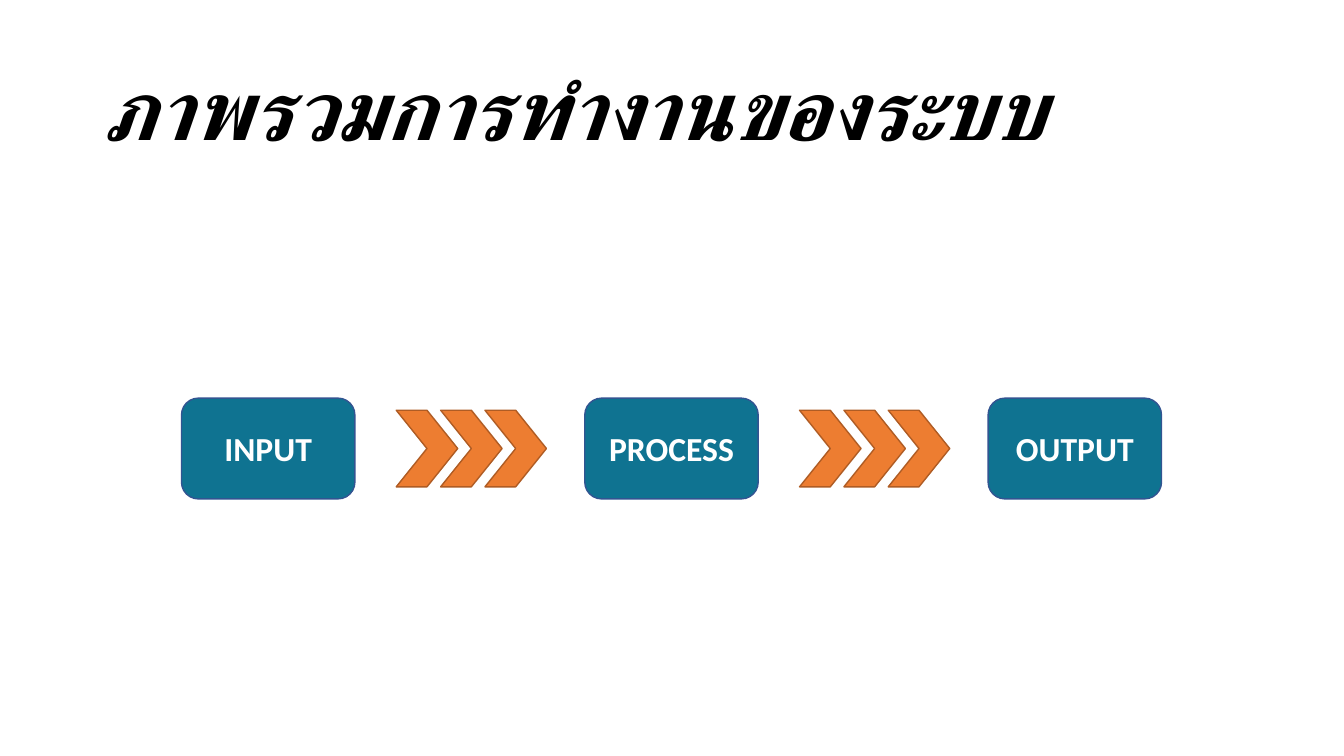
from dataclasses import dataclass

from lxml import etree
from pptx import Presentation
from pptx.dml.color import RGBColor
from pptx.enum.shapes import MSO_SHAPE
from pptx.enum.text import MSO_ANCHOR, MSO_AUTO_SIZE, PP_ALIGN
from pptx.oxml.ns import qn
from pptx.util import Inches, Pt

ROUND, CHEVRON = MSO_SHAPE.ROUNDED_RECTANGLE, MSO_SHAPE.CHEVRON
MIDDLE, NO_FIT = MSO_ANCHOR.MIDDLE, MSO_AUTO_SIZE.NONE
LEFT, CENTER = PP_ALIGN.LEFT, PP_ALIGN.CENTER


@dataclass(frozen=True)
class Theme:
    font: str = "Calibri"
    ink: str = "000000"
    paper: str = "FFFFFF"
    box: str = "0F7391"
    box_edge: str = "325491"
    arrow: str = "ED7D31"
    arrow_edge: str = "AF5C24"
    title_size: int = 60
    label_size: int = 24
    edge: int = 1


class Deck:
    def __init__(self, theme):
        self.theme = theme
        self.prs = Presentation()
        self.prs.slide_width = Inches(13.33)
        self.prs.slide_height = Inches(7.5)
        self.slide = self.prs.slides.add_slide(self.prs.slide_layouts[5])

    def label(self, shape, text, size, color, align):
        """Set a shape's text and return its paragraph."""
        frame = shape.text_frame
        frame.text = text
        frame.word_wrap = True
        frame.auto_size = NO_FIT
        frame.vertical_anchor = MIDDLE
        para = frame.paragraphs[0]
        para.alignment = align
        font = para.runs[0].font
        font.name, font.size, font.bold = self.theme.font, Pt(size), True
        font.color.rgb = RGBColor.from_string(color)
        return para

    def title(self, text, left, top, width, height):
        shape = self.slide.shapes.title
        shape.left, shape.top = Inches(left), Inches(top)
        shape.width, shape.height = Inches(width), Inches(height)
        shape.fill.solid()
        shape.fill.fore_color.rgb = RGBColor.from_string(self.theme.paper)
        tint = shape.element.find(".//" + qn("a:srgbClr"))
        etree.SubElement(tint, qn("a:alpha")).set("val", "95000")
        para = self.label(shape, text, self.theme.title_size, self.theme.ink, LEFT)
        para.line_spacing = 0.9
        para.runs[0].font.italic = True

    def shape(self, home, kind, left, top, width, height, fill, edge):
        """Draw a filled preset shape on the slide or in a group."""
        shape = home.shapes.add_shape(
            kind, Inches(left), Inches(top), Inches(width), Inches(height))
        shape.shadow.inherit = False
        shape.fill.solid()
        shape.fill.fore_color.rgb = RGBColor.from_string(fill)
        shape.line.color.rgb = RGBColor.from_string(edge)
        shape.line.width = Pt(self.theme.edge)
        return shape

    def box(self, text, left, top, width, height):
        look = self.theme
        shape = self.shape(self.slide, ROUND, left, top, width, height,
                           look.box, look.box_edge)
        self.label(shape, text, look.label_size, look.paper, CENTER)

    def arrow(self, left, top, width, height, step, count=3):
        """Group a row of chevrons into one arrow."""
        group = self.slide.shapes.add_group_shape()
        for i in range(count):
            self.shape(group, CHEVRON, left + i * step, top, width, height,
                       self.theme.arrow, self.theme.arrow_edge)


def main():
    deck = Deck(Theme())
    deck.title("ภาพรวมการทำงานของระบบ", 0.92, 0.4, 11.5, 1.45)
    stages = ["INPUT", "PROCESS", "OUTPUT"]
    start, pitch = 1.8, 4.0
    for i, stage in enumerate(stages):
        left = start + i * pitch
        deck.box(stage, left, 3.95, 1.72, 1)
        if i < len(stages) - 1:
            deck.arrow(left + 2.13, 4.07, 0.61, 0.76, 0.44)
    deck.prs.save("out.pptx")


if __name__ == "__main__":
    main()
